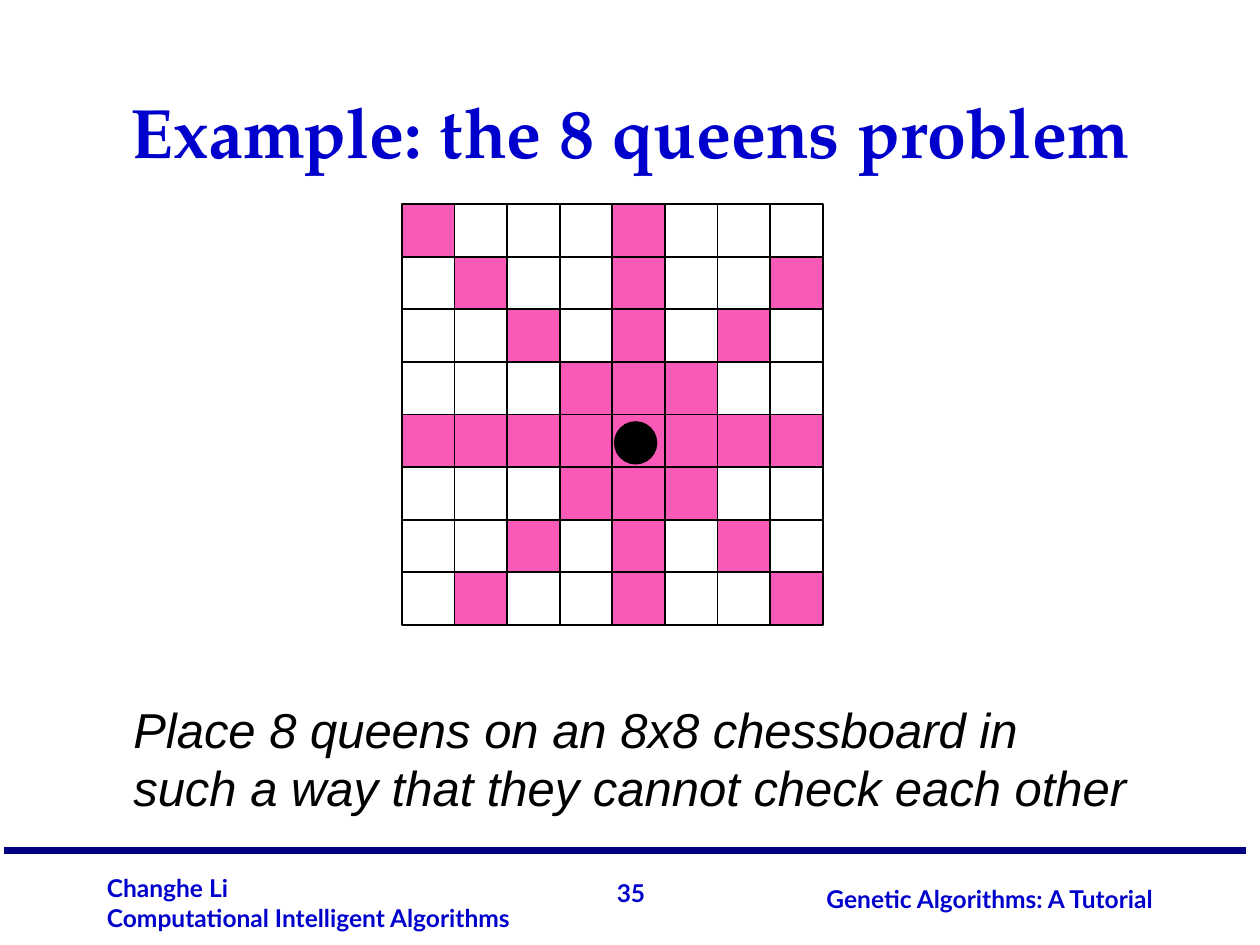
from lxml import etree
from pptx import Presentation
from pptx import util as u
from pptx.dml.color import RGBColor
from pptx.enum import shapes, text
from pptx.oxml.ns import qn

BLUE, NAVY, PINK, WHITE, BLACK = "0000CC", "000080", "F95AB7", "FFFFFF", "000000"
LEFT, CENTER, RIGHT = text.PP_ALIGN.LEFT, text.PP_ALIGN.CENTER, text.PP_ALIGN.RIGHT
TOP, MIDDLE, BOTTOM = text.MSO_ANCHOR.TOP, text.MSO_ANCHOR.MIDDLE, text.MSO_ANCHOR.BOTTOM
SIZE = 8
QUEEN = (4, 4)


def color(value):
    """Turn a hex string into a colour."""
    return RGBColor.from_string(value)


def add_text(s, box, lines, size, font, fill, align=LEFT, anchor=TOP,
             bold=False, italic=False, wrap=True, grow=True):
    """Place a text box with one paragraph for each line."""
    sp = s.shapes.add_textbox(*map(u.Inches, box))
    tf = sp.text_frame
    tf.word_wrap = wrap
    tf.vertical_anchor = anchor
    tf.auto_size = text.MSO_AUTO_SIZE.SHAPE_TO_FIT_TEXT if grow else text.MSO_AUTO_SIZE.NONE
    for i, line in enumerate(lines):
        p = tf.add_paragraph() if i else tf.paragraphs[0]
        p.alignment = align
        r = p.add_run()
        r.text = line
        r.font.size = u.Pt(size)
        r.font.name = font
        r.font.bold = bold
        r.font.italic = italic
        r.font.color.rgb = color(fill)


def add_piece(group, kind, box, fill):
    """Add a filled shape with a thin black outline to a group."""
    sp = group.shapes.add_shape(kind, *map(u.Inches, box))
    sp.shadow.inherit = False
    sp.fill.solid()
    sp.fill.fore_color.rgb = color(fill)
    sp.line.color.rgb = color(BLACK)
    sp.line.width = u.Pt(1)


def is_attacked(row, col):
    """Tell whether the queen stands on or checks a square."""
    dr, dc = abs(row - QUEEN[0]), abs(col - QUEEN[1])
    return dr == 0 or dc == 0 or dr == dc


def add_board(s, left, top, side):
    """Draw the chessboard, the attacked squares and the queen."""
    cell = side / SIZE
    group = s.shapes.add_group_shape()
    for row in range(SIZE):
        for col in range(SIZE):
            add_piece(group, shapes.MSO_SHAPE.RECTANGLE,
                      (left + col * cell, top + row * cell, cell, cell),
                      PINK if is_attacked(row, col) else WHITE)
    row, col = QUEEN
    add_piece(group, shapes.MSO_SHAPE.OVAL,
              (left + col * cell + 0.02, top + row * cell + 0.06, 0.33, 0.33), BLACK)


def add_footer(s, left, top, width):
    """Draw the footer rule with author, page number and talk title."""
    line = s.shapes.add_connector(shapes.MSO_CONNECTOR.STRAIGHT, u.Inches(left), u.Inches(top),
                                  u.Inches(left + width), u.Inches(top))
    line.line.color.rgb = color(NAVY)
    line.line.width = u.Pt(4.5)
    etree.SubElement(line._element.spPr, qn("a:effectLst"))
    style = dict(size=14, font="Lato", fill=BLUE, anchor=MIDDLE, bold=True)
    add_text(s, (left + 0.72, top + 0.13, 3.75, 0.57),
             ["Changhe Li", "Computational Intelligent Algorithms"], **style)
    add_text(s, (left + 4.76, top + 0.17, 0.43, 0.33), ["35"], align=RIGHT, wrap=False, **style)
    add_text(s, (left + 5.89, top + 0.22, 3.33, 0.33),
             ["Genetic Algorithms: A Tutorial"], align=RIGHT, **style)


def main():
    """Build the slide and save it."""
    prs = Presentation()
    prs.slide_width, prs.slide_height = u.Inches(10), u.Inches(7.5)
    s = prs.slides.add_slide(prs.slide_layouts[6])
    add_footer(s, 0.03, 6.75, 9.86)
    add_board(s, 3.19, 1.62, 3.34)
    add_text(s, (0.96, 5.5, 8.21, 1.03),
             ["Place 8 queens on an 8x8 chessboard in",
              "such a way that they cannot check each other"],
             28, "Arial", BLACK, italic=True)
    add_text(s, (0.75, 0.25, 8.5, 1.17), ["Example: the 8 queens problem"],
             40, "TeX Gyre Pagella", BLUE, CENTER, BOTTOM, bold=True, grow=False)
    prs.save("out.pptx")


if __name__ == "__main__":
    main()
